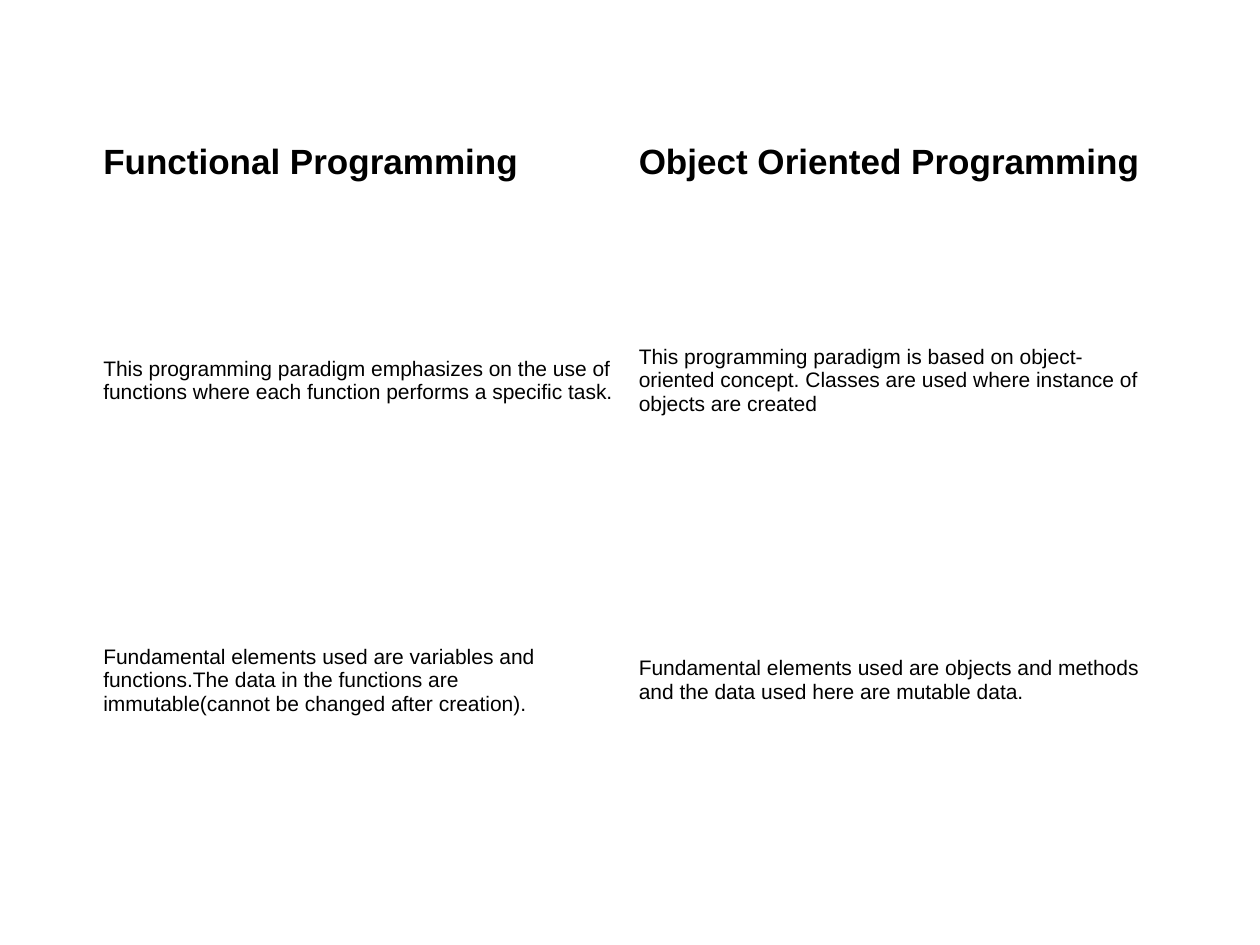
from pptx import Presentation
from pptx import util as u
from pptx.dml.color import RGBColor
from pptx.enum import text

ROWS = [
    ("Functional Programming", "Object Oriented Programming"),
    ("This programming paradigm emphasizes on the use of functions where each "
     "function performs a specific task.",
     "This programming paradigm is based on object-oriented concept. Classes are "
     "used where instance of objects are created"),
    ("Fundamental elements used are variables and functions.The data in the "
     "functions are immutable(cannot be changed after creation).",
     "Fundamental elements used are objects and methods and the data used here "
     "are mutable data."),
]

THEME = {
    "ink": RGBColor(0, 0, 0),
    "paper": RGBColor(255, 255, 255),
    "heading": {"name": "Arial", "size": u.Pt(20), "bold": True},
    "body": {"name": "Arial", "size": u.Pt(12), "bold": False},
}
CELL_FORMAT = {
    "vertical_anchor": text.MSO_ANCHOR.MIDDLE,
    "margin_left": u.Inches(0.07),
    "margin_right": u.Inches(0.07),
    "margin_top": u.Inches(0.05),
    "margin_bottom": u.Inches(0.05),
}
MARGIN = 0.75
COLUMN_WIDTH = 4.25
ROW_HEIGHTS = (1.08, 2.38, 2.38)


def set_all(target, values):
    for name, value in values.items():
        setattr(target, name, value)


def write_cell(cell, words, font_format):
    set_all(cell, CELL_FORMAT)
    cell.fill.solid()
    cell.fill.fore_color.rgb = THEME["paper"]
    span = cell.text_frame.paragraphs[0].add_run()
    span.text = words
    set_all(span.font, font_format)
    span.font.color.rgb = THEME["ink"]


def add_comparison(page):
    columns = len(ROWS[0])
    table = page.shapes.add_table(
        len(ROWS), columns, u.Inches(MARGIN), u.Inches(MARGIN),
        u.Inches(columns * COLUMN_WIDTH), u.Inches(sum(ROW_HEIGHTS))).table
    table.horz_banding = False
    for column in table.columns:
        column.width = u.Inches(COLUMN_WIDTH)
    for index, (row, height) in enumerate(zip(table.rows, ROW_HEIGHTS)):
        row.height = u.Inches(height)
        font_format = THEME["body" if index else "heading"]
        for cell, words in zip(row.cells, ROWS[index]):
            write_cell(cell, words, font_format)


def main():
    deck = Presentation()
    set_all(deck, {"slide_width": u.Inches(10), "slide_height": u.Inches(7.5)})
    page = deck.slides.add_slide(deck.slide_layouts[6])
    add_comparison(page)
    deck.save("out.pptx")


if __name__ == "__main__":
    main()
